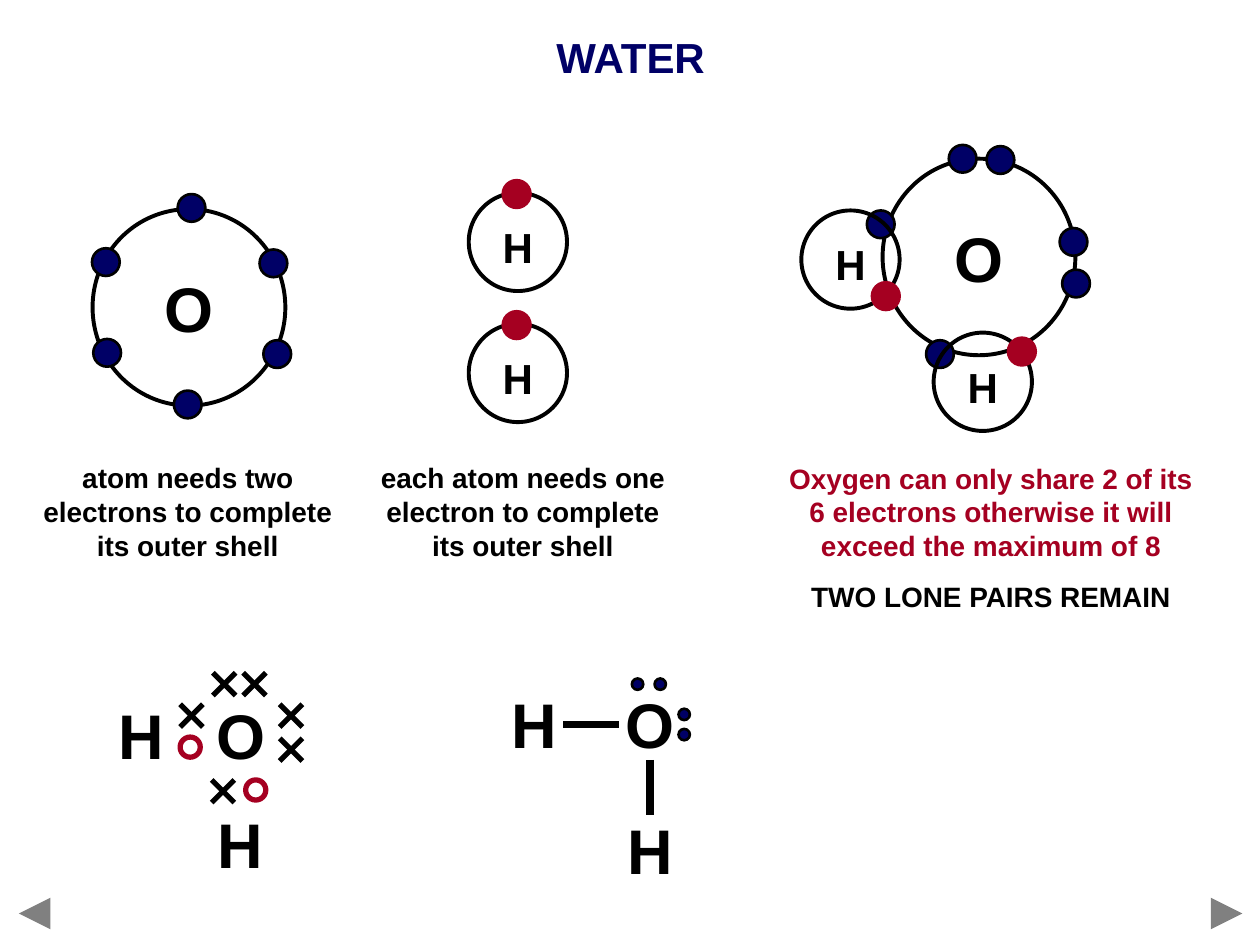
from dataclasses import dataclass
from pptx import Presentation
from pptx.dml.color import RGBColor
from pptx.enum.shapes import MSO_CONNECTOR, MSO_SHAPE
from pptx.enum.text import MSO_ANCHOR, MSO_AUTO_SIZE, PP_ALIGN
from pptx.oxml.ns import qn
from pptx.util import Inches, Pt
from lxml.etree import SubElement


@dataclass(frozen=True)
class Theme:
    font: str = "Arial"
    navy: str = "000066"
    red: str = "A50021"
    black: str = "000000"
    grey: str = "808080"
    big: int = 36
    head: int = 24
    note: int = 16


class Page:
    def __init__(self, slide, theme):
        self.slide = slide
        self.theme = theme

    def style(self, para, size, color):
        para.alignment = PP_ALIGN.CENTER
        font = para.font
        font.name, font.size, font.bold = self.theme.font, Pt(size), True
        font.color.rgb = RGBColor.from_string(color)

    def title(self, text, left, top, width, height):
        shape = self.slide.shapes.title
        shape.left, shape.top = Inches(left), Inches(top)
        shape.width, shape.height = Inches(width), Inches(height)
        frame = shape.text_frame
        frame.text = text
        frame.vertical_anchor = MSO_ANCHOR.TOP
        frame.auto_size = MSO_AUTO_SIZE.NONE
        para = frame.paragraphs[0]
        para.space_before = Pt(0)
        self.style(para, self.theme.head, self.theme.navy)

    def text(self, left, top, width, height, lines, size):
        """Add centred paragraphs given as (text, color) pairs."""
        box = self.slide.shapes.add_textbox(
            Inches(left), Inches(top), Inches(width), Inches(height))
        frame = box.text_frame
        frame.word_wrap = True
        for i, (text, color) in enumerate(lines):
            para = frame.add_paragraph() if i else frame.paragraphs[0]
            para.text = text
            para.space_before = Pt(10 if i else 0)
            self.style(para, size, color)

    def letter(self, text, x, y, size):
        self.text(x - 0.35, y - 0.35 * size / 36, 0.7, 0.7 * size / 36,
                  [(text, self.theme.black)], size)

    def ring(self, x, y, width, height, line, weight, fill=None):
        shape = self.slide.shapes.add_shape(
            MSO_SHAPE.OVAL, Inches(x - width / 2), Inches(y - height / 2),
            Inches(width), Inches(height))
        shape.shadow.inherit = False
        if fill:
            shape.fill.solid()
            shape.fill.fore_color.rgb = RGBColor.from_string(fill)
        else:
            shape.fill.background()
        shape.line.color.rgb = RGBColor.from_string(line)
        shape.line.width = Pt(weight)

    def dots(self, spots, size=0.22):
        for x, y in spots:
            self.ring(x, y, size, size, self.theme.black, 1.5, self.theme.navy)

    def oxygen(self, x, y, spots):
        self.ring(x, y, 1.53, 1.56, self.theme.black, 2.25)
        self.dots(spots)
        self.letter("O", x, y, self.theme.big)

    def hydrogen(self, x, y, dot):
        red = self.theme.red
        self.ring(x, y, 0.78, 0.78, self.theme.black, 2.25)
        self.ring(*dot, 0.22, 0.22, red, 1.5, red)
        self.letter("H", x, y + 0.02, self.theme.head)

    def line(self, x1, y1, x2, y2, color, weight, arrow=False):
        link = self.slide.shapes.add_connector(
            MSO_CONNECTOR.STRAIGHT,
            Inches(x1), Inches(y1), Inches(x2), Inches(y2))
        link.line.color.rgb = RGBColor.from_string(color)
        link.line.width = Pt(weight)
        props = link._element.spPr
        if arrow:
            SubElement(props.find(qn("a:ln")), qn("a:tailEnd"), type="triangle")
        SubElement(props, qn("a:effectLst"))

    def cross(self, x, y, half=0.09):
        for rise in (half, -half):
            self.line(x - half, y - rise, x + half, y + rise,
                      self.theme.black, 3)


def main():
    deck = Presentation()
    deck.slide_width, deck.slide_height = Inches(10), Inches(7.5)
    theme = Theme()
    page = Page(deck.slides.add_slide(deck.slide_layouts[5]), theme)
    page.title("WATER", 2.13, 0.2, 5.75, 0.5)

    # Separate atoms
    page.oxygen(1.5, 2.44, [(1.52, 1.65), (2.17, 2.09), (2.2, 2.81),
                            (1.49, 3.21), (0.85, 2.8), (0.84, 2.08)])
    for y in (1.92, 2.96):
        page.hydrogen(4.11, y, (4.1, y - 0.38))

    # Water molecule with shared pairs
    page.oxygen(7.77, 2.04, [(7.64, 1.26), (7.94, 1.27), (8.52, 1.92),
                             (8.54, 2.25), (7.46, 2.81), (6.99, 1.78)])
    page.hydrogen(7.8, 3.03, (8.11, 2.79))
    page.hydrogen(6.75, 2.06, (7.03, 2.35))

    # Captions
    page.text(0.2, 3.61, 2.58, 0.9, [
        ("atom needs two electrons to complete its outer shell",
         theme.black)], theme.note)
    page.text(2.81, 3.61, 2.68, 0.9, [
        ("each atom needs one electron to complete its outer shell",
         theme.black)], theme.note)
    page.text(6.15, 3.61, 3.43, 1.31, [
        ("Oxygen can only share 2 of its 6 electrons otherwise it will "
         "exceed the maximum of 8", theme.red),
        ("TWO LONE PAIRS REMAIN", theme.black)], theme.note)

    # Dot and cross diagram
    for text, x, y in (("H", 1.12, 5.83), ("O", 1.91, 5.83), ("H", 1.91, 6.69)):
        page.letter(text, x, y, theme.big)
    for x, y in ((1.78, 5.43), (2.02, 5.43), (2.31, 5.68),
                 (2.31, 5.95), (1.52, 5.68), (1.77, 6.28)):
        page.cross(x, y)
    for x, y in ((1.51, 5.93), (2.03, 6.27)):
        page.ring(x, y, 0.16, 0.16, theme.red, 3)

    # Bond diagram with lone pairs
    for text, x, y in (("H", 4.24, 5.74), ("O", 5.16, 5.74), ("H", 5.16, 6.74)):
        page.letter(text, x, y, theme.big)
    page.line(4.47, 5.75, 4.91, 5.75, theme.black, 4.5)
    page.line(5.16, 6.03, 5.16, 6.47, theme.black, 4.5)
    page.dots([(5.06, 5.43), (5.24, 5.43), (5.43, 5.67), (5.43, 5.83)], 0.09)

    # Page arrows
    for start, end in ((0.36, 0.15), (9.65, 9.86)):
        page.line(start, 7.25, end, 7.25, theme.grey, 6, arrow=True)

    deck.save("out.pptx")


if __name__ == "__main__":
    main()
